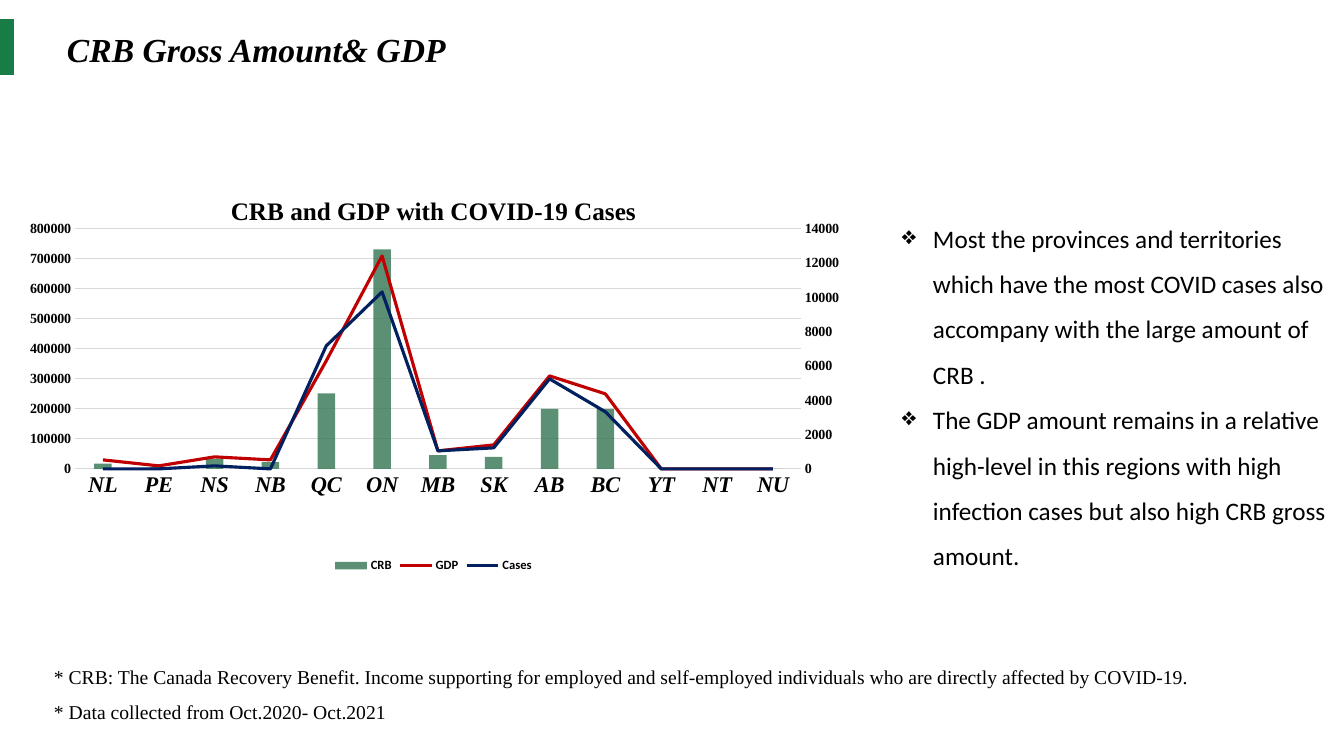
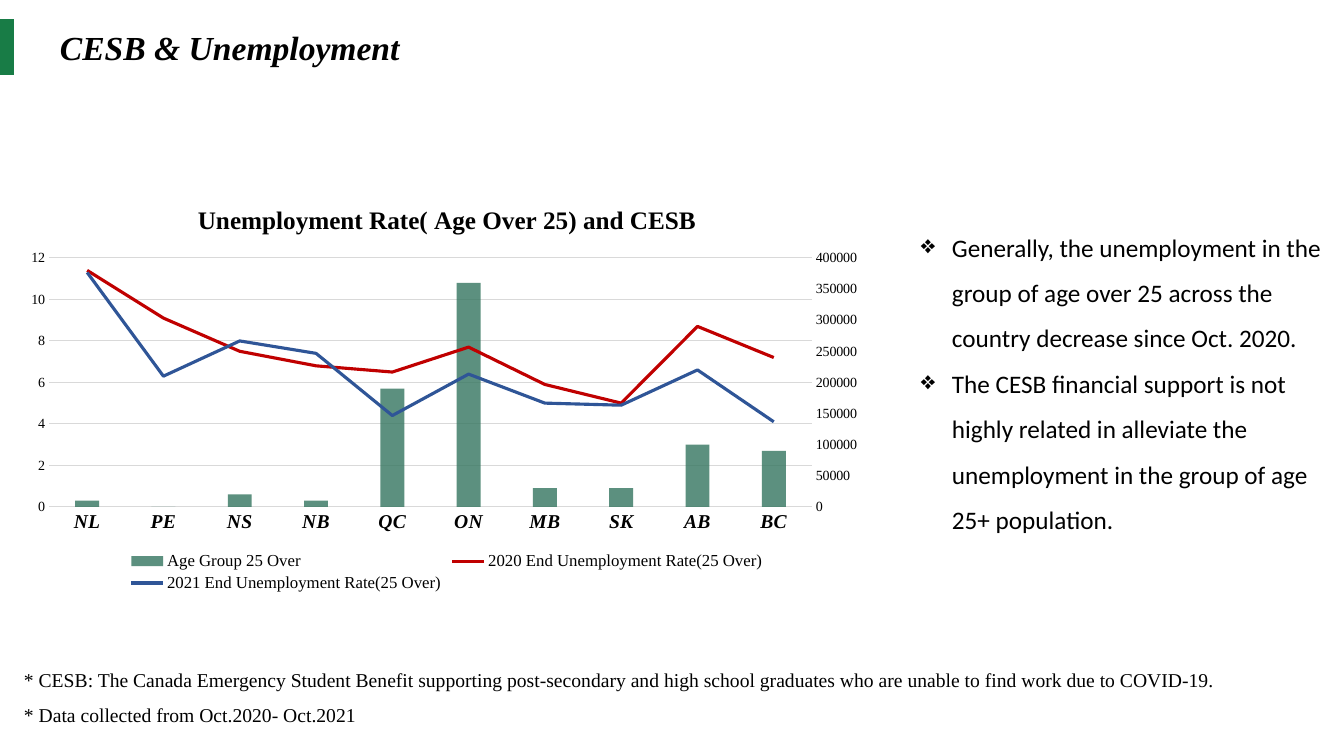
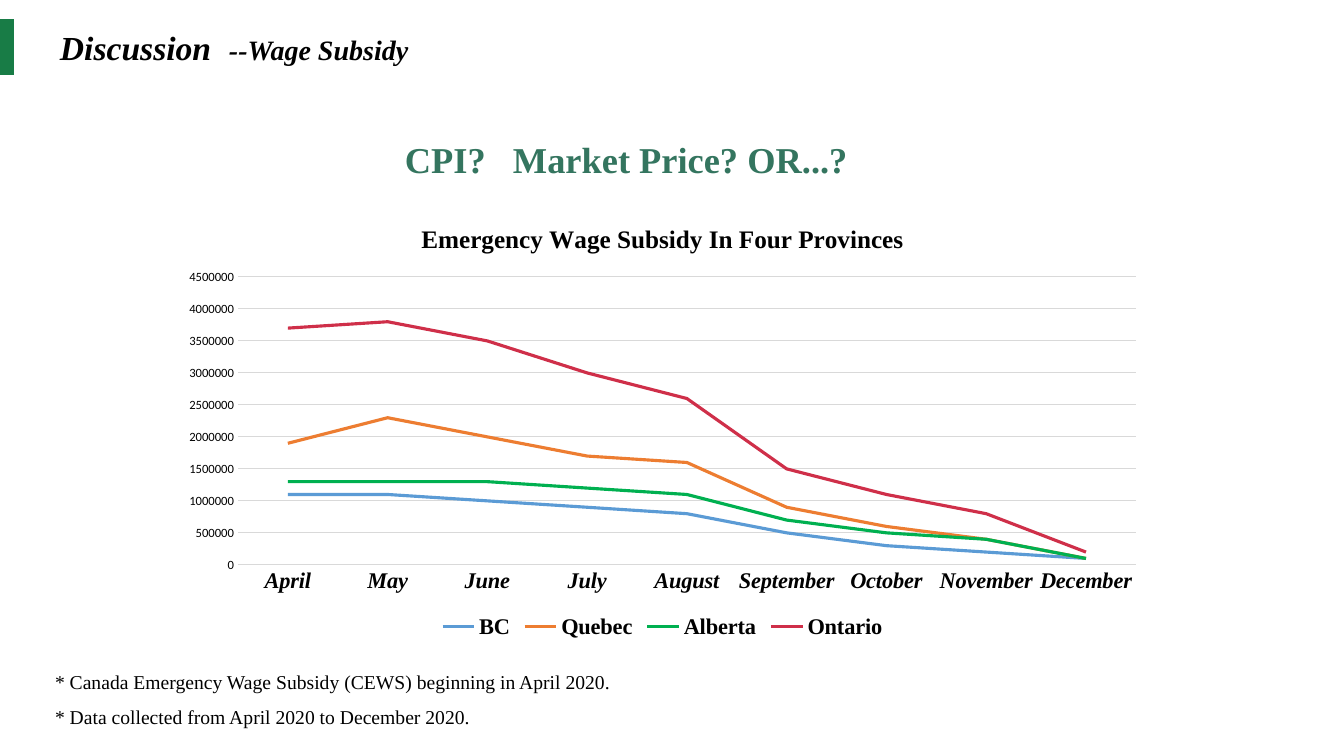
"""Build three slides on Canadian recovery benefits with combined and line charts."""
import copy

import pptx
import pptx.chart.axis
import pptx.chart.data
import pptx.dml.color
import pptx.enum.chart
import pptx.enum.shapes
import pptx.enum.text
import pptx.oxml
import pptx.oxml.ns
import pptx.util

EMU_PER_PX = 914400 / 100.8
SERIF, SANS = "Times New Roman", "Calibri"
BLACK, GREEN, GRID = "000000", "187C46", "D9D9D9"
RED = "C00000"
PROVINCES = ["NL", "PE", "NS", "NB", "QC", "ON", "MB", "SK", "AB", "BC"]

SLIDES = [
    {
        "title": [("CRB Gross Amount& GDP", 24)],
        "title_box": (7, 24, 475, 50),
        "chart": {
            "title": "CRB and GDP with COVID-19 Cases",
            "box": (14, 178, 839, 399),
            "plot": (75, 229, 726, 240),
            "categories": PROVINCES + ["YT", "NT", "NU"],
            "category_size": 16, "category_italic": True,
            "value_font": (10, SERIF, True), "legend_font": (9, SANS, True),
            "scale": (800000, 100000), "bar_scale": (14000, 2000),
            "series": [
                ("CRB", "347553", [300, 100, 600, 400, 4400, 12800, 800, 700, 3500, 3500, 0, 0, 0]),
                ("GDP", RED, [30000, 10000, 40000, 30000, 360000, 710000, 60000, 80000,
                              310000, 250000, 0, 0, 0]),
                ("Cases", "002060", [0, 0, 10000, 0, 410000, 590000, 60000, 70000,
                                     300000, 190000, 0, 0, 0]),
            ],
        },
        "bullets_box": (892, 203, 453, 376),
        "bullets": [
            "Most the provinces and territories which have the most COVID cases also "
            "accompany with the large amount of CRB .",
            "The GDP amount remains in a relative high-level in this regions with high "
            "infection cases but also high CRB gross amount.",
        ],
        "notes_box": (44, 648, 1255, 82),
        "notes": [
            "* CRB: The Canada Recovery Benefit. Income supporting for employed and "
            "self-employed individuals who are directly affected by COVID-19.",
            "* Data collected from Oct.2020- Oct.2021",
        ],
    },
    {
        "title": [("CESB & Unemployment", 24)],
        "title_box": (0, 22, 514, 50),
        "chart": {
            "title": "Unemployment Rate( Age Over 25) and CESB",
            "box": (14, 186, 866, 410),
            "plot": (49, 258, 763, 249),
            "categories": PROVINCES,
            "category_size": 14, "category_italic": True,
            "value_font": (10, SERIF, False), "legend_font": (12, SERIF, False),
            "scale": (12, 2), "bar_scale": (400000, 50000),
            "series": [
                ("Age Group 25 Over", "34755F",
                 [10000, 0, 20000, 10000, 190000, 360000, 30000, 30000, 100000, 90000]),
                ("2020 End Unemployment Rate(25 Over)", RED,
                 [11.4, 9.1, 7.5, 6.8, 6.5, 7.7, 5.9, 5, 8.7, 7.2]),
                ("2021 End Unemployment Rate(25 Over)", "2F5597",
                 [11.3, 6.3, 8, 7.4, 4.4, 6.4, 5, 4.9, 6.6, 4.1]),
            ],
        },
        "bullets_box": (911, 212, 432, 331),
        "bullets": [
            "Generally, the unemployment in the group of age over 25 across the country "
            "decrease since Oct. 2020.",
            "The CESB financial support is not highly related in alleviate the "
            "unemployment in the group of age 25+ population.",
        ],
        "notes_box": (14, 651, 1255, 82),
        "notes": [
            "* CESB: The Canada Emergency Student Benefit supporting post-secondary and "
            "high school graduates who are unable to find work due to COVID-19.",
            "* Data collected from Oct.2020- Oct.2021",
        ],
    },
    {
        "title": [("Discussion\t", 24), ("--Wage Subsidy", 20)],
        "title_box": (0, 22, 481, 50),
        "title_tab": 169,
        "chart": {
            "title": "Emergency Wage Subsidy In Four Provinces",
            "box": (169, 205, 987, 439),
            "plot": (238, 277, 898, 288),
            "categories": ["April", "May", "June", "July", "August", "September",
                           "October", "November", "December"],
            "category_size": 16, "category_italic": True,
            "value_font": (9, SANS, False), "legend_font": (16, SERIF, True),
            "scale": (4500000, 500000),
            "series": [
                ("BC", "5B9BD5", [1100000, 1100000, 1000000, 900000, 800000, 500000,
                                  300000, 200000, 100000]),
                ("Quebec", "ED7D31", [1900000, 2300000, 2000000, 1700000, 1600000, 900000,
                                      600000, 400000, 100000]),
                ("Alberta", "00B050", [1300000, 1300000, 1300000, 1200000, 1100000, 700000,
                                       500000, 400000, 100000]),
                ("Ontario", "CF2F49", [3700000, 3800000, 3500000, 3000000, 2600000, 1500000,
                                       1100000, 800000, 200000]),
            ],
        },
        "question": "CPI?\tMarket Price? OR...?",
        "question_box": (395, 132, 494, 54),
        "notes_box": (45, 653, 925, 82),
        "notes": [
            "* Canada Emergency Wage Subsidy (CEWS) beginning in April 2020.",
            "* Data collected from April 2020 to December 2020.",
        ],
    },
]


def px(length):
    """Convert pixels to EMU."""
    return pptx.util.Emu(round(length * EMU_PER_PX))


def rgb(code):
    """Turn a hex string into a colour."""
    return pptx.dml.color.RGBColor.from_string(code)


def chart_xml(body):
    """Parse one chart element with its namespaces."""
    tag, rest = body.split(" ", 1)
    return pptx.oxml.parse_xml(f"{tag} {pptx.oxml.ns.nsdecls('c', 'a')} {rest}")


def set_font(font, size, name, bold=False, italic=False, color=BLACK):
    """Set every property of a font."""
    font.size, font.name = pptx.util.Pt(size), name
    font.bold, font.italic = bold, italic
    font.color.rgb = rgb(color)


def add_text(slide, box, paragraphs, name=SERIF, bold=False, italic=False, color=BLACK,
             spacing=1, inset=10, bullet=None, tab=None):
    """Add a text box from paragraphs given as lists of (text, size) runs."""
    frame = slide.shapes.add_textbox(*map(px, box)).text_frame
    frame.word_wrap = True
    frame.auto_size = pptx.enum.text.MSO_AUTO_SIZE.SHAPE_TO_FIT_TEXT
    frame.margin_left = px(inset)
    for index, runs in enumerate(paragraphs):
        paragraph = frame.paragraphs[0] if index == 0 else frame.add_paragraph()
        paragraph.line_spacing = spacing
        properties = paragraph._p.get_or_add_pPr()
        if bullet:
            properties.set("marL", str(px(31)))
            properties.set("indent", str(-px(31)))
            properties.append(chart_xml(f'<a:buChar char="{bullet}"/>'))
        if tab:
            properties.append(chart_xml(
                f'<a:tabLst ><a:tab pos="{px(tab)}" algn="l"/></a:tabLst>'))
        for text, size in runs:
            run = paragraph.add_run()
            run.text = text
            set_font(run.font, size, name, bold, italic, color)


def place_plot(chart, box, plot):
    """Fix the inner plot area inside the chart."""
    left, top, width, height = box
    shares = {"x": (plot[0] - left) / width, "y": (plot[1] - top) / height,
              "w": plot[2] / width, "h": plot[3] / height}
    sizes = "".join(f'<c:{key} val="{value:.4f}"/>' for key, value in shares.items())
    area = chart.element.xpath(".//c:plotArea")[0]
    for layout in area.xpath("c:layout"):
        area.remove(layout)
    area.insert(0, chart_xml(
        '<c:layout ><c:manualLayout><c:layoutTarget val="inner"/><c:xMode val="edge"/>'
        f'<c:yMode val="edge"/>{sizes}</c:manualLayout></c:layout>'))


def split_lines(chart, bar_scale):
    """Keep the first series as bars on a right axis and turn the rest into lines."""
    bars = chart.element.xpath(".//c:barChart")[0]
    lines = chart_xml('<c:lineChart ><c:grouping val="standard"/><c:varyColors val="0"/>'
                      '</c:lineChart>')
    for series in bars.xpath("c:ser")[1:]:
        for flag in series.xpath("c:invertIfNegative"):
            series.remove(flag)
        lines.append(series)
    lines.append(chart_xml('<c:marker val="1"/>'))
    for axis_id, new_id in zip(bars.xpath("c:axId"), ("5001", "5002")):
        lines.append(copy.deepcopy(axis_id))
        axis_id.set("val", new_id)
    bars.addnext(lines)

    category = chart.element.xpath(".//c:catAx")[0]
    value = chart.element.xpath(".//c:valAx")[0]
    bar_category, bar_value = copy.deepcopy(category), copy.deepcopy(value)
    value.addnext(bar_category)
    bar_category.addnext(bar_value)
    for axis, own, other in ((bar_category, "5001", "5002"), (bar_value, "5002", "5001")):
        axis.xpath("c:axId")[0].set("val", own)
        axis.xpath("c:crossAx")[0].set("val", other)
    bar_category.xpath("c:delete")[0].set("val", "1")
    bar_value.xpath("c:axPos")[0].set("val", "r")
    bar_value.xpath("c:crosses")[0].set("val", "max")
    right_axis = pptx.chart.axis.ValueAxis(bar_value)
    right_axis.has_major_gridlines = False
    right_axis.maximum_scale, right_axis.major_unit = bar_scale


def add_chart(slide, spec_of_chart):
    """Add a line chart, or a combined one when a bar scale is given."""
    item = spec_of_chart
    kinds = pptx.enum.chart.XL_CHART_TYPE
    combined = "bar_scale" in item
    data = pptx.chart.data.CategoryChartData()
    data.categories = item["categories"]
    for name, _, values in item["series"]:
        data.add_series(name, values)
    chart = slide.shapes.add_chart(kinds.COLUMN_CLUSTERED if combined else kinds.LINE,
                                   *map(px, item["box"]), data).chart
    set_font(chart.font, 10, SANS)

    chart.has_title = True
    run = chart.chart_title.text_frame.paragraphs[0].add_run()
    run.text = item["title"]
    set_font(run.font, 18, SERIF, True)
    chart.chart_title.include_in_layout = False
    chart.has_legend = True
    chart.legend.position = pptx.enum.chart.XL_LEGEND_POSITION.BOTTOM
    chart.legend.include_in_layout = False
    set_font(chart.legend.font, *item["legend_font"])

    category_axis, value_axis = chart.category_axis, chart.value_axis
    for axis in (category_axis, value_axis):
        axis.major_tick_mark = axis.minor_tick_mark = pptx.enum.chart.XL_TICK_MARK.NONE
    set_font(category_axis.tick_labels.font, item["category_size"], SERIF, True,
             item["category_italic"])
    set_font(value_axis.tick_labels.font, *item["value_font"])
    value_axis.format.line.fill.background()
    value_axis.has_major_gridlines = True
    for line in (category_axis.format.line, value_axis.major_gridlines.format.line):
        line.color.rgb = rgb(GRID)
        line.width = pptx.util.Pt(0.75)
    value_axis.minimum_scale = 0
    value_axis.maximum_scale, value_axis.major_unit = item["scale"]

    if combined:
        split_lines(chart, item["bar_scale"])
        bar_plot = chart.plots[0]
        bar_plot.gap_width, bar_plot.overlap = 219, -27
        fill = bar_plot.series[0].format.fill
        fill.solid()
        fill.fore_color.rgb = rgb(item["series"][0][1])
        chart.element.xpath(".//c:barChart/c:ser/c:spPr//a:srgbClr")[0].append(
            chart_xml('<a:alpha val="80000"/>'))
    for plot in chart.plots:
        plot.vary_by_categories = False
    line_plot = chart.plots[1 if combined else 0]
    for series, (_, color, _) in zip(line_plot.series, item["series"][int(combined):]):
        series.smooth = False
        series.marker.style = pptx.enum.chart.XL_MARKER_STYLE.NONE
        series.format.line.color.rgb = rgb(color)
        series.format.line.width = pptx.util.Pt(2.25)
    place_plot(chart, item["box"], item["plot"])


def add_heading(slide, content):
    """Add the slide title and the green tab at the left edge."""
    add_text(slide, content["title_box"], [content["title"]], bold=True, italic=True,
             inset=60, tab=content.get("title_tab"))
    tab = slide.shapes.add_shape(pptx.enum.shapes.MSO_SHAPE.RECTANGLE,
                                 *map(px, (0, 19, 14, 56)))
    tab.shadow.inherit = False
    tab.fill.solid()
    tab.fill.fore_color.rgb = rgb(GREEN)
    tab.line.fill.background()


def main():
    """Build and save the presentation."""
    presentation = pptx.Presentation()
    presentation.slide_width, presentation.slide_height = px(1344), px(756)
    for content in SLIDES:
        slide = presentation.slides.add_slide(presentation.slide_layouts[6])
        add_heading(slide, content)
        add_chart(slide, content["chart"])
        if "bullets" in content:
            add_text(slide, content["bullets_box"],
                     [[(text, 18)] for text in content["bullets"]],
                     name=SANS, spacing=1.5, bullet="❖")
        if "question" in content:
            add_text(slide, content["question_box"], [[(content["question"], 26)]],
                     bold=True, color="34755F", tab=108)
        add_text(slide, content["notes_box"], [[(text, 14)] for text in content["notes"]],
                 spacing=1.5)
    presentation.save("out.pptx")


if __name__ == "__main__":
    main()
